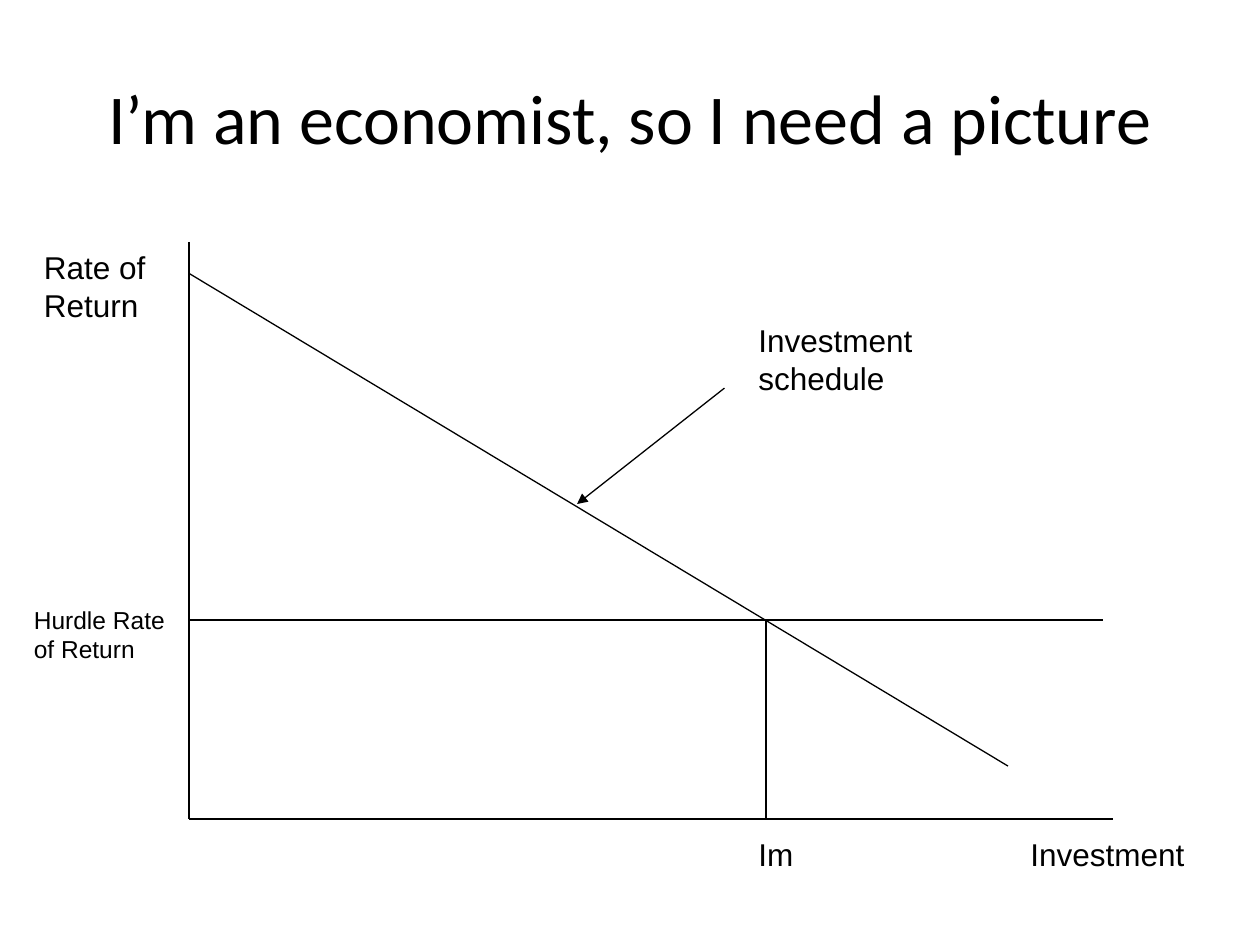
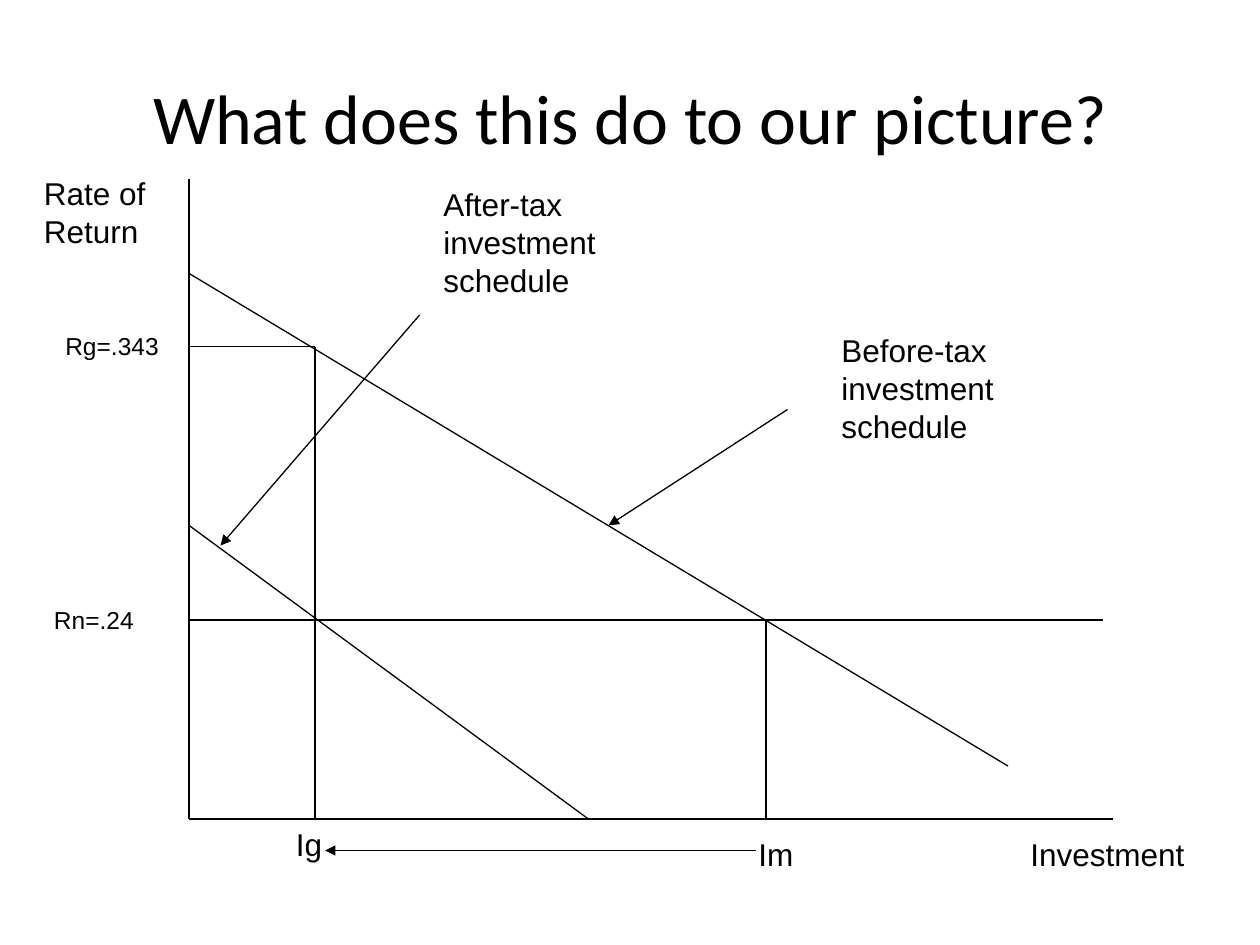
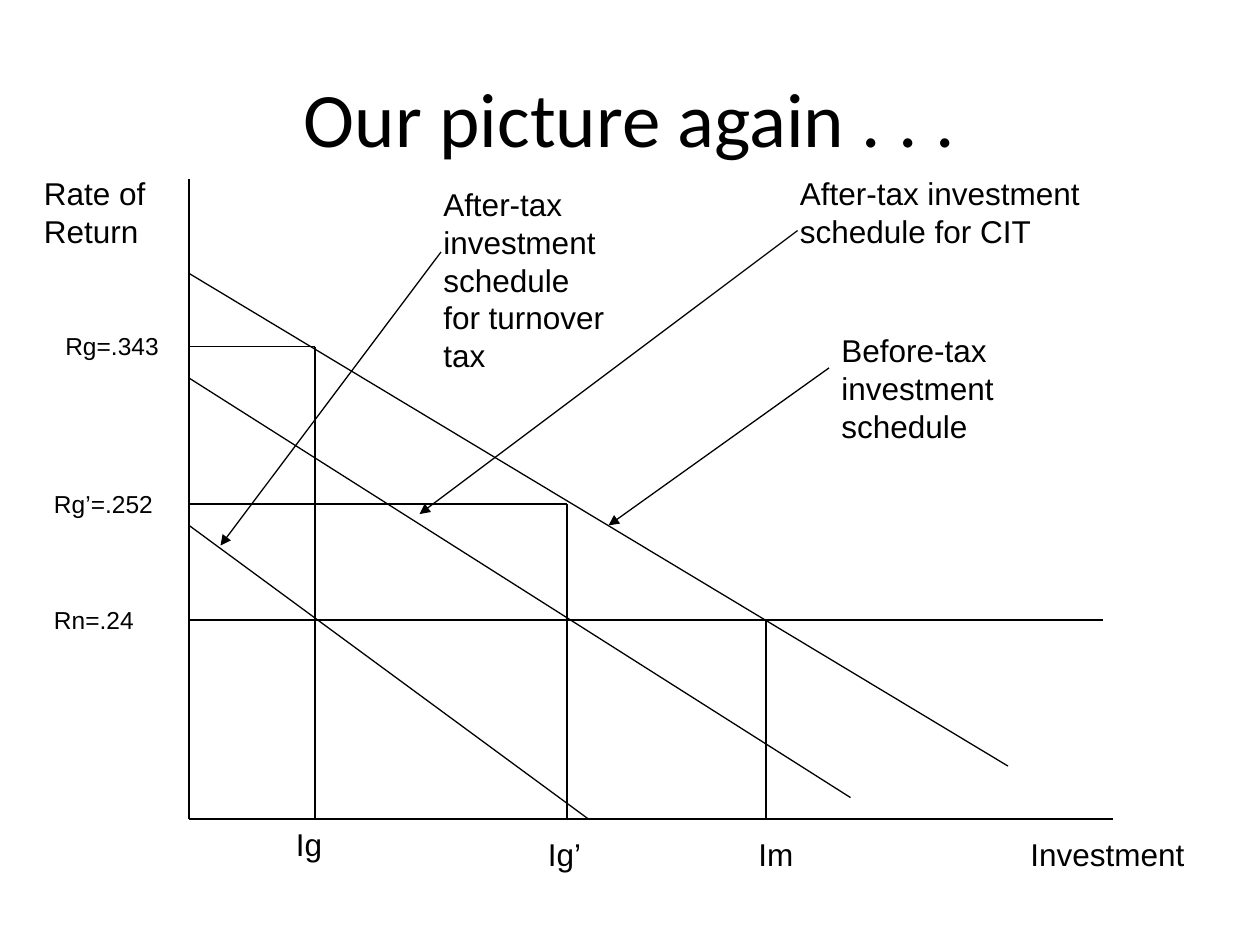
from dataclasses import dataclass

from lxml import etree
from pptx import Presentation
from pptx.dml.color import RGBColor
from pptx.enum.shapes import MSO_CONNECTOR
from pptx.enum.text import MSO_ANCHOR, PP_ALIGN
from pptx.oxml.ns import qn
from pptx.util import Inches, Pt

STRAIGHT = MSO_CONNECTOR.STRAIGHT
MIDDLE = MSO_ANCHOR.MIDDLE
LEFT, CENTER = PP_ALIGN.LEFT, PP_ALIGN.CENTER


@dataclass(frozen=True)
class Theme:
    ink: RGBColor = RGBColor(0, 0, 0)
    paper: RGBColor = RGBColor(255, 255, 255)
    title_font: str = "Calibri"
    label_font: str = "Arial"
    label_size: int = 18
    rate_size: int = 14
    line_width: float = 0.75


THEME = Theme()
ORIGIN_X, ORIGIN_Y = 1.5, 6.5
AXIS_RIGHT = 8.83
HURDLE_Y, HURDLE_RIGHT = 4.92, 8.75
MARKET_X = 6.08
TITLE_BOX = (0.5, 0.3, 9, 1.25)
LABEL_HEIGHTS = {1: 0.4, 2: 0.7, 3: 1.0, 5: 1.6}
RATE_HEIGHTS = {1: 0.33, 2: 0.57}

BEFORE_TAX = ((ORIGIN_X, 2.17), (8, 6.08))
AFTER_TURNOVER_TAX = ((ORIGIN_X, 4.17), (4.67, ORIGIN_Y))
AFTER_CIT = ((ORIGIN_X, 3), (6.75, 6.33))
TURNOVER_POINT = (2.5, 2.75)
CIT_POINT = (4.5, 4)

# label: text, left, top, width, lines
INVESTMENT_LABELS = [("Investment", 8.08, 6.58, 1.67, 1), ("Im", 5.92, 6.58, 0.5, 1)]
TAX_LABELS = [
    ("Rate of Return", 0.25, 1.33, 1.17, 2),
    ("Before-tax investment schedule", 6.58, 2.58, 1.5, 3),
    ("Ig", 2.25, 6.5, 0.5, 1),
]
TAX_RATES = [("Rn=.24", 0.33, 4.75, 1, 1), ("Rg=.343", 0.42, 2.58, 1, 1)]

SLIDES = [
    {
        "title": "I’m an economist, so I need a picture",
        "title_size": 40,
        "axis_top": 1.92,
        "schedules": [BEFORE_TAX],
        "tax_points": [],
        "arrows": [((5.75, 3.08), (4.58, 4))],
        "labels": [
            ("Rate of Return", 0.25, 1.92, 1.17, 2),
            ("Investment schedule", 5.92, 2.5, 1.58, 2),
        ],
        "rates": [("Hurdle Rate of Return", 0.17, 4.75, 1.25, 2)],
    },
    {
        "title": "What does this do to our picture?",
        "title_size": 40,
        "axis_top": 1.42,
        "schedules": [BEFORE_TAX, AFTER_TURNOVER_TAX],
        "tax_points": [TURNOVER_POINT],
        "arrows": [
            ((6.25, 3.25), (4.83, 4.17)),
            ((3.33, 2.5), (1.75, 4.33)),
            ((6, 6.75), (2.58, 6.75)),
        ],
        "labels": TAX_LABELS + [("After-tax investment schedule", 3.42, 1.42, 1.5, 3)],
        "rates": TAX_RATES,
    },
    {
        "title": "Our picture again . . .",
        "title_size": 44,
        "axis_top": 1.42,
        "schedules": [BEFORE_TAX, AFTER_TURNOVER_TAX, AFTER_CIT],
        "tax_points": [TURNOVER_POINT, CIT_POINT],
        "arrows": [
            ((6.58, 2.92), (4.83, 4.17)),
            ((3.5, 2), (1.75, 4.33)),
            ((6.33, 1.83), (3.33, 4.08)),
        ],
        "labels": TAX_LABELS + [
            ("After-tax investment schedule for turnover tax", 3.42, 1.42, 1.5, 5),
            ("After-tax investment schedule for CIT", 6.25, 1.33, 2.67, 2),
            ("Ig’", 4.25, 6.58, 0.58, 1),
        ],
        "rates": TAX_RATES + [("Rg’=.252", 0.33, 3.83, 1.08, 1)],
    },
]


def add_text(slide, text, box, font_name, size, align=LEFT):
    frame = slide.shapes.add_textbox(*map(Inches, box)).text_frame
    frame.word_wrap = True
    frame.text = text
    paragraph = frame.paragraphs[0]
    paragraph.alignment = align
    font = paragraph.runs[0].font
    font.name = font_name
    font.size = Pt(size)
    font.color.rgb = THEME.ink
    return frame


def add_line(slide, start, end, arrow=False):
    line = slide.shapes.add_connector(STRAIGHT, *map(Inches, start + end))
    line.line.color.rgb = THEME.ink
    line.line.width = Pt(THEME.line_width)
    properties = line._element.spPr
    if arrow:
        etree.SubElement(properties.find(qn("a:ln")), qn("a:tailEnd"), type="triangle")
    etree.SubElement(properties, qn("a:effectLst"))


def add_labels(slide, labels, size, heights):
    for text, left, top, width, lines in labels:
        box = (left, top, width, heights[lines])
        add_text(slide, text, box, THEME.label_font, size)


def add_diagram(slide, content):
    origin = (ORIGIN_X, ORIGIN_Y)
    segments = [
        ((ORIGIN_X, content["axis_top"]), origin),
        (origin, (AXIS_RIGHT, ORIGIN_Y)),
        ((ORIGIN_X, HURDLE_Y), (HURDLE_RIGHT, HURDLE_Y)),
        ((MARKET_X, HURDLE_Y), (MARKET_X, ORIGIN_Y)),
        *content["schedules"],
    ]
    for investment, rate in content["tax_points"]:
        corner = (investment, rate)
        segments += [(corner, (investment, ORIGIN_Y)), (corner, (ORIGIN_X, rate))]
    for start, end in segments:
        add_line(slide, start, end)
    for start, end in content["arrows"]:
        add_line(slide, start, end, arrow=True)


def main():
    deck = Presentation()
    deck.slide_width, deck.slide_height = Inches(10), Inches(7.5)
    for content in SLIDES:
        slide = deck.slides.add_slide(deck.slide_layouts[6])
        slide.background.fill.solid()
        slide.background.fill.fore_color.rgb = THEME.paper
        title = add_text(slide, content["title"], TITLE_BOX, THEME.title_font,
                         content["title_size"], CENTER)
        title.vertical_anchor = MIDDLE
        add_diagram(slide, content)
        add_labels(slide, INVESTMENT_LABELS + content["labels"],
                   THEME.label_size, LABEL_HEIGHTS)
        add_labels(slide, content["rates"], THEME.rate_size, RATE_HEIGHTS)
    deck.save("out.pptx")


if __name__ == "__main__":
    main()
